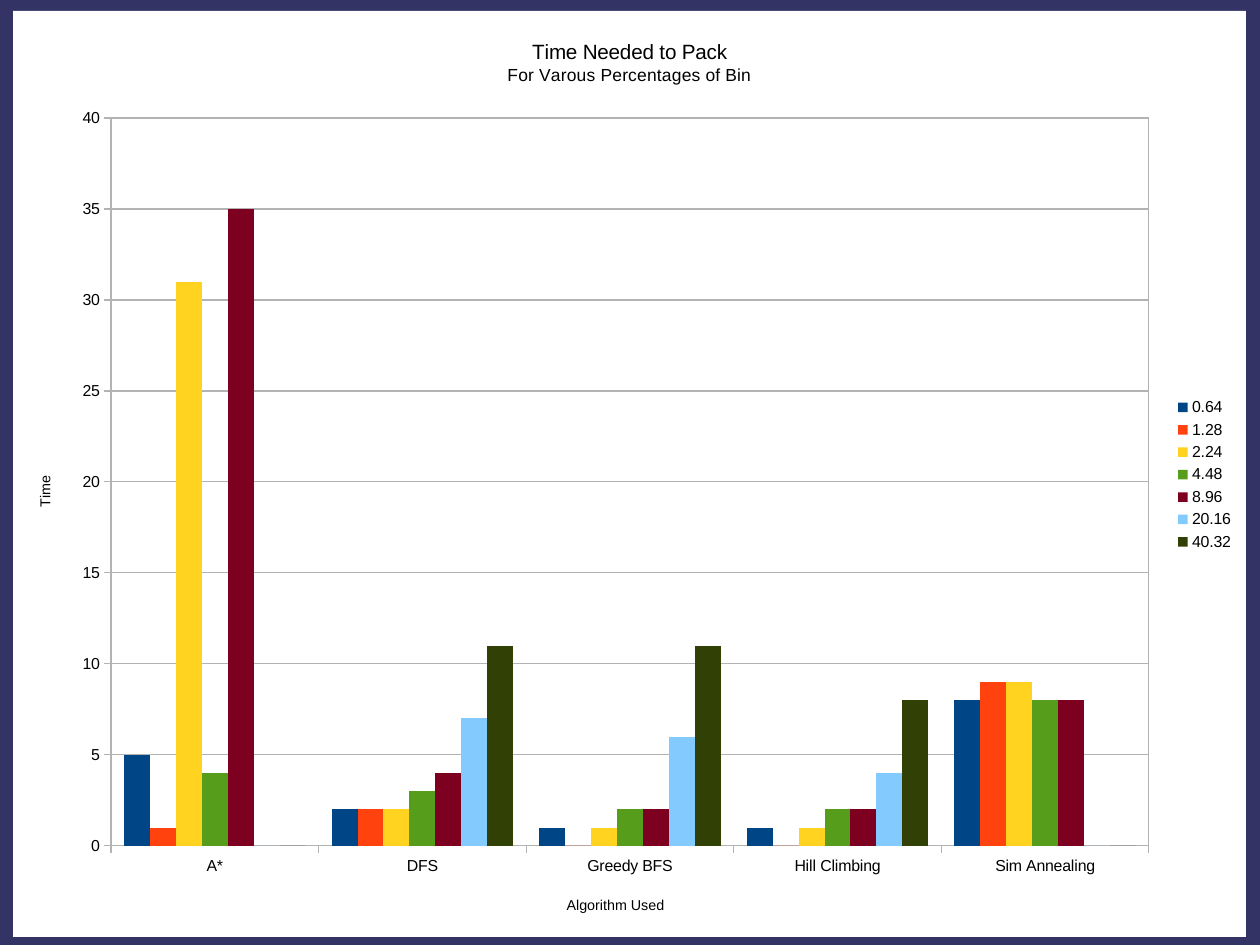
from lxml import etree
from pptx import Presentation
from pptx.chart.data import CategoryChartData
from pptx.dml.color import RGBColor
from pptx.enum.chart import XL_CHART_TYPE, XL_LEGEND_POSITION, XL_TICK_MARK
from pptx.oxml import parse_xml
from pptx.oxml.ns import nsdecls, qn
from pptx.util import Pt

COLUMNS = XL_CHART_TYPE.COLUMN_CLUSTERED
LEGEND_RIGHT = XL_LEGEND_POSITION.RIGHT
TICK_OUT, TICK_NONE = XL_TICK_MARK.OUTSIDE, XL_TICK_MARK.NONE

# Content
ALGORITHMS = ["A*", "DFS", "Greedy BFS", "Hill Climbing", "Sim Annealing"]
BIN_PERCENTAGES = [
    ("0.64", "004586", [5, 2, 1, 1, 8]),
    ("1.28", "FF420E", [1, 2, 0, 0, 9]),
    ("2.24", "FFD320", [31, 2, 1, 1, 9]),
    ("4.48", "579D1C", [4, 3, 2, 2, 8]),
    ("8.96", "7E0021", [35, 4, 2, 2, 8]),
    ("20.16", "83CAFF", [0, 7, 6, 4, 0]),
    ("40.32", "314004", [0, 11, 11, 8, 0]),
]
HEADING = [("Time Needed to Pack", 13), ("For Varous Percentages of Bin", 11)]
ALGORITHM_TITLE = [("Algorithm Used", 9)]
TIME_TITLE = [("Time", 9)]

# Places in px
PX = 8000
SLIDE = (1260, 945)
CHART = (13, 11, 1233, 926)
PLOT = (111, 118, 1038, 728)
HEADING_AT = (504, 36)
ALGORITHM_TITLE_AT = (564, 893)
TIME_TITLE_AT = (33, 473)
LEGEND_AT = (1173, 394)

FONT, INK, GRID, PAPER, BACKDROP = "Arial", "000000", "B3B3B3", "FFFFFF", "333366"


def rgb(code):
    return RGBColor.from_string(code)


def style_font(font, size):
    font.name, font.size, font.bold = FONT, Pt(size), False
    font.color.rgb = rgb(INK)


def write_title(title, lines):
    frame = title.text_frame
    for number, (text, size) in enumerate(lines):
        paragraph = frame.add_paragraph() if number else frame.paragraphs[0]
        run = paragraph.add_run()
        run.text = text
        style_font(run.font, size)
    return frame


def style_line(line):
    line.color.rgb = rgb(GRID)
    line.width = 0


def place(part, left, top, *size):
    """Give a chart part a fixed place, as fractions of the chart."""
    for old in part.findall(qn("c:layout")):
        part.remove(old)
    layout = parse_xml(f"<c:layout {nsdecls('c')}/>")
    manual = etree.SubElement(layout, qn("c:manualLayout"))
    settings = [("layoutTarget", "inner")] if size else []
    settings += [("xMode", "edge"), ("yMode", "edge"),
                 ("x", (left - CHART[0]) / CHART[2]),
                 ("y", (top - CHART[1]) / CHART[3])]
    settings += [(key, length / whole)
                 for key, length, whole in zip("wh", size, CHART[2:])]
    for key, value in settings:
        etree.SubElement(manual, qn(f"c:{key}")).set("val", str(value))
    overlay = part.find(qn("c:overlay"))
    if overlay is None:
        part.insert(0, layout)
    else:
        overlay.addprevious(layout)


def area_style(fill, line):
    return parse_xml(f"<c:spPr {nsdecls('c', 'a')}>{fill}<a:ln w=\"0\">{line}</a:ln></c:spPr>")


def solid(code):
    return f'<a:solidFill><a:srgbClr val="{code}"/></a:solidFill>'


# Slide
deck = Presentation()
deck.slide_width, deck.slide_height = (side * PX for side in SLIDE)
slide = deck.slides.add_slide(deck.slide_layouts[6])
slide.background.fill.solid()
slide.background.fill.fore_color.rgb = rgb(BACKDROP)

# Chart and its columns
packing_times = CategoryChartData()
packing_times.categories = ALGORITHMS
for percentage, _, times in BIN_PERCENTAGES:
    packing_times.add_series(percentage, times)
chart = slide.shapes.add_chart(COLUMNS, *(edge * PX for edge in CHART), packing_times).chart
style_font(chart.font, 10)
columns = chart.plots[0]
columns.gap_width, columns.overlap, columns.vary_by_categories = 100, 0, False
for series, (_, color, _) in zip(columns.series, BIN_PERCENTAGES):
    series.format.fill.solid()
    series.format.fill.fore_color.rgb = rgb(color)
    series.format.line.fill.background()

# Axes
algorithm_axis, time_axis = chart.category_axis, chart.value_axis
for axis in (algorithm_axis, time_axis):
    axis.major_tick_mark, axis.minor_tick_mark = TICK_OUT, TICK_NONE
    style_line(axis.format.line)
    style_font(axis.tick_labels.font, 10)
time_axis.minimum_scale, time_axis.maximum_scale, time_axis.major_unit = 0, 40, 5
time_axis.has_major_gridlines = True
style_line(time_axis.major_gridlines.format.line)

# Titles
write_title(chart.chart_title, HEADING)
write_title(algorithm_axis.axis_title, ALGORITHM_TITLE)
time_frame = write_title(time_axis.axis_title, TIME_TITLE)
time_body = time_frame.paragraphs[0]._p.getparent().find(qn("a:bodyPr"))
time_body.set("rot", "-5400000")
time_body.set("vert", "horz")

# Legend
chart.has_legend = True
chart.legend.position = LEGEND_RIGHT
chart.legend.include_in_layout = False
style_font(chart.legend.font, 10)

# Places, white ground and plot frame
chart_root = chart.element.find(qn("c:chart"))
plot_area = chart_root.find(qn("c:plotArea"))
place(plot_area, *PLOT)
place(chart_root.find(qn("c:legend")), *LEGEND_AT)
for holder, spot in ((chart_root, HEADING_AT),
                     (plot_area.find(qn("c:catAx")), ALGORITHM_TITLE_AT),
                     (plot_area.find(qn("c:valAx")), TIME_TITLE_AT)):
    place(holder.find(qn("c:title")), *spot)
plot_area.append(area_style("<a:noFill/>", solid(GRID)))
chart_root.addnext(area_style(solid(PAPER), "<a:noFill/>"))

deck.save("out.pptx")
